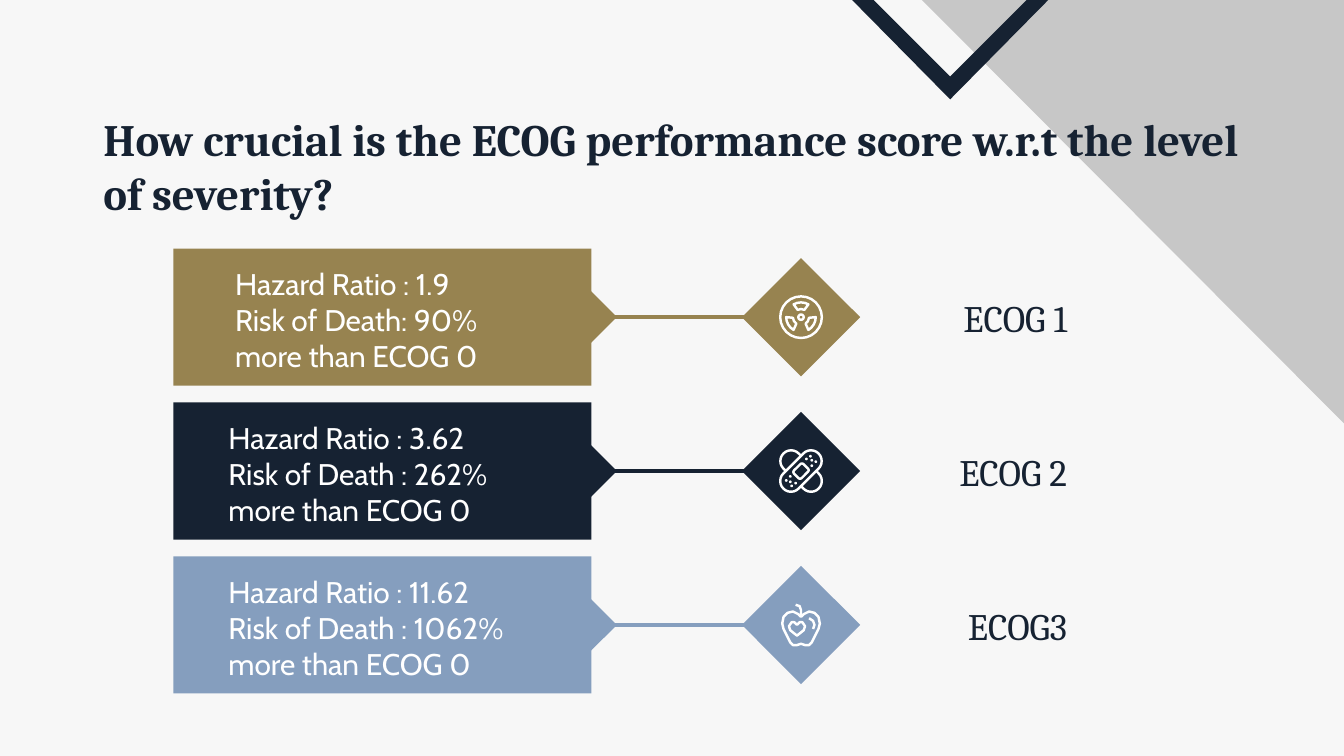
import math

import pptx
import pptx.dml.color
import pptx.enum.shapes
import pptx.enum.text
import pptx.util
from lxml import etree

RGB = pptx.dml.color.RGBColor
SHAPE = pptx.enum.shapes.MSO_SHAPE
ALIGN = pptx.enum.text.PP_ALIGN
ANCHOR = pptx.enum.text.MSO_ANCHOR
Inches, Pt = pptx.util.Inches, pptx.util.Pt

PAPER = RGB(0xF7, 0xF7, 0xF7)
GREY = RGB(0xC7, 0xC7, 0xC7)
NAVY = RGB(0x16, 0x22, 0x32)
GOLD = RGB(0x97, 0x83, 0x50)
BLUE = RGB(0x85, 0x9E, 0xBE)
WHITE = RGB(0xFF, 0xFF, 0xFF)

WIDTH, HEIGHT = 10, 5.625
TITLE = "How crucial is the ECOG performance score w.r.t the level of severity?"
# colour, label, text lines, left and width of the text, icon
ROWS = [
    (GOLD, "ECOG 1", ["Hazard Ratio : 1.9", "Risk of Death: 90% more than ECOG 0"],
     1.75, 2.17, "radiation"),
    (NAVY, "ECOG 2", ["Hazard Ratio : 3.62", "Risk of Death : 262% more than ECOG 0"],
     1.7, 2.11, "bandage"),
    (BLUE, "ECOG3", ["Hazard Ratio : 11.62", "Risk of Death : 1062% more than ECOG 0"],
     1.7, 2.21, "apple"),
]
FIRST_MIDDLE, ROW_STEP = 2.36, 1.145
BOX_LEFT, BOX_W, BOX_H = 1.29, 3.11, 1.02
POINTER_X, POINTER_SIZE = 4.39, 0.4
ICON_X, DIAMOND_SIZE = 5.96, 0.88

# Icon outlines, in inches from the icon's centre; halves are mirrored
APPLE_HALF = [(0, -0.06), (0.02, -0.08), (0.06, -0.1), (0.1, -0.09), (0.13, -0.06),
              (0.14, -0.01), (0.13, 0.03), (0.08, 0.13), (0.06, 0.15), (0.03, 0.15),
              (0, 0.14)]
HEART_HALF = [(0, -0.03), (0.02, -0.05), (0.04, -0.05), (0.06, -0.02), (0.05, 0.01),
              (0, 0.05)]
STEM = [(0, -0.06), (0, -0.11), (-0.01, -0.14), (-0.04, -0.15)]
SHINE = [(0.06, -0.05), (0.09, -0.03), (0.1, 0), (0.09, 0.03)]
BANDAGE_DOTS = [(0.07, -0.11), (0.11, -0.07), (0.08, -0.04), (0.08, -0.08), (0.04, -0.09)]


def paint(sp, fill=None, line=None, width=1.3):
    sp.shadow.inherit = False
    if fill is None:
        sp.fill.background()
    else:
        sp.fill.solid()
        sp.fill.fore_color.rgb = fill
    if line is None:
        sp.line.fill.background()
    else:
        sp.line.color.rgb = line
        sp.line.width = Pt(width)


def add_centred(s, kind, x, y, w, h, fill=None, line=None, rotation=0):
    sp = s.shapes.add_shape(kind, *map(Inches, (x - w / 2, y - h / 2, w, h)))
    sp.rotation = rotation
    paint(sp, fill, line)
    return sp


def add_outline(s, points, x=0, y=0, fill=None, line=None, close=True):
    pts = [(Inches(x + dx), Inches(y + dy)) for dx, dy in points]
    builder = s.shapes.build_freeform(*pts[0], scale=1)
    builder.add_line_segments(pts[1:], close=close)
    paint(builder.convert_to_shape(), fill, line)


def mirrored(half):
    return half + [(-dx, dy) for dx, dy in reversed(half[1:-1])]


def fill_text(tf, lines, font, inset=0, align=ALIGN.LEFT, anchor=ANCHOR.TOP):
    frame = dict(word_wrap=True, vertical_anchor=anchor, margin_left=Inches(inset),
                 margin_right=Inches(inset), margin_top=Inches(inset),
                 margin_bottom=Inches(inset), auto_size=pptx.enum.text.MSO_AUTO_SIZE.NONE)
    for key, value in frame.items():
        setattr(tf, key, value)
    for i, line in enumerate(lines):
        p = tf.paragraphs[0] if i == 0 else tf.add_paragraph()
        p.alignment = align
        r = p.add_run()
        r.text = line
        for key, value in font.items():
            if key == "color":
                r.font.color.rgb = value
            else:
                setattr(r.font, key, value)


def add_text(s, x, y, w, h, lines, font, **frame):
    box = s.shapes.add_textbox(*map(Inches, (x, y, w, h)))
    fill_text(box.text_frame, lines, font, **frame)


def draw_radiation(s, x, y, color):
    for size in (0.31, 0.04):
        add_centred(s, SHAPE.OVAL, x, y, size, size, line=WHITE)
    for middle in (-90, 30, 150):
        arc = [(0.06, -25), (0.11, -30), (0.11, -15), (0.11, 0),
               (0.11, 15), (0.11, 30), (0.06, 25), (0.06, 0)]
        blade = [(r * math.cos(math.radians(middle + a)),
                  r * math.sin(math.radians(middle + a))) for r, a in arc]
        add_outline(s, blade, x, y, line=WHITE)


def draw_bandage(s, x, y, color):
    for w, h, rotation, corner in ((0.37, 0.16, 45, 0.5), (0.37, 0.16, -45, 0.5),
                                   (0.1, 0.08, -45, 0.2)):
        sp = add_centred(s, SHAPE.ROUNDED_RECTANGLE, x, y, w, h, color, WHITE, rotation)
        sp.adjustments[0] = corner
    for sign in (1, -1):
        for dx, dy in BANDAGE_DOTS:
            add_centred(s, SHAPE.OVAL, x + sign * dx, y + sign * dy, 0.02, 0.02, WHITE)


def draw_apple(s, x, y, color):
    add_outline(s, mirrored(APPLE_HALF), x, y, line=WHITE)
    add_outline(s, mirrored(HEART_HALF), x - 0.03, y + 0.03, line=WHITE)
    for stroke in (STEM, SHINE):
        add_outline(s, stroke, x, y, line=WHITE, close=False)


ICONS = {"radiation": draw_radiation, "bandage": draw_bandage, "apple": draw_apple}


def add_connector(s, x1, x2, y, color):
    line = s.shapes.add_connector(pptx.enum.shapes.MSO_CONNECTOR.STRAIGHT,
                                  *map(Inches, (x1, y, x2, y)))
    line.line.color.rgb = color
    line.line.width = Pt(2.25)
    ns = "http://schemas.openxmlformats.org/drawingml/2006/main"
    etree.SubElement(line.element.spPr, f"{{{ns}}}effectLst")


def add_title(s):
    title = s.shapes.title
    s.shapes.element.append(title.element)  # in front of the corner shapes
    for key, value in dict(left=0.67, top=0.73, width=8.9, height=0.63).items():
        setattr(title, key, Inches(value))
    fill_text(title.text_frame, [TITLE],
              dict(name="Cambria", size=Pt(24), bold=True, color=NAVY), inset=0.1)


def add_row(s, y, color, label, lines, text_x, text_w, icon):
    add_centred(s, SHAPE.RECTANGLE, BOX_LEFT + BOX_W / 2, y, BOX_W, BOX_H, color)
    add_connector(s, POINTER_X, ICON_X - 0.3, y, color)
    add_centred(s, SHAPE.DIAMOND, POINTER_X, y, POINTER_SIZE, POINTER_SIZE, color)
    add_centred(s, SHAPE.DIAMOND, ICON_X, y, DIAMOND_SIZE, DIAMOND_SIZE, color)
    ICONS[icon](s, ICON_X, y, color)
    add_text(s, text_x, y - 0.38, text_w, 0.5, lines,
             dict(name="Cabin", size=Pt(16), color=WHITE))
    add_text(s, 6.77, y - 0.18, 1.17, 0.35, [label],
             dict(name="Cambria", size=Pt(20), color=NAVY),
             align=ALIGN.RIGHT, anchor=ANCHOR.BOTTOM)


def main():
    prs = pptx.Presentation()
    prs.slide_width, prs.slide_height = Inches(WIDTH), Inches(HEIGHT)
    s = prs.slides.add_slide(prs.slide_layouts[5])
    s.background.fill.solid()
    s.background.fill.fore_color.rgb = PAPER
    add_outline(s, [(6.86, 0), (WIDTH, 0), (WIDTH, 3.15)], fill=GREY)
    add_outline(s, mirrored([(0, 0.57), (0.57, 0), (0.73, 0), (0, 0.74)]),
                x=7.07, fill=NAVY)
    add_title(s)
    for i, row in enumerate(ROWS):
        add_row(s, FIRST_MIDDLE + i * ROW_STEP, *row)
    prs.save("out.pptx")


if __name__ == "__main__":
    main()
